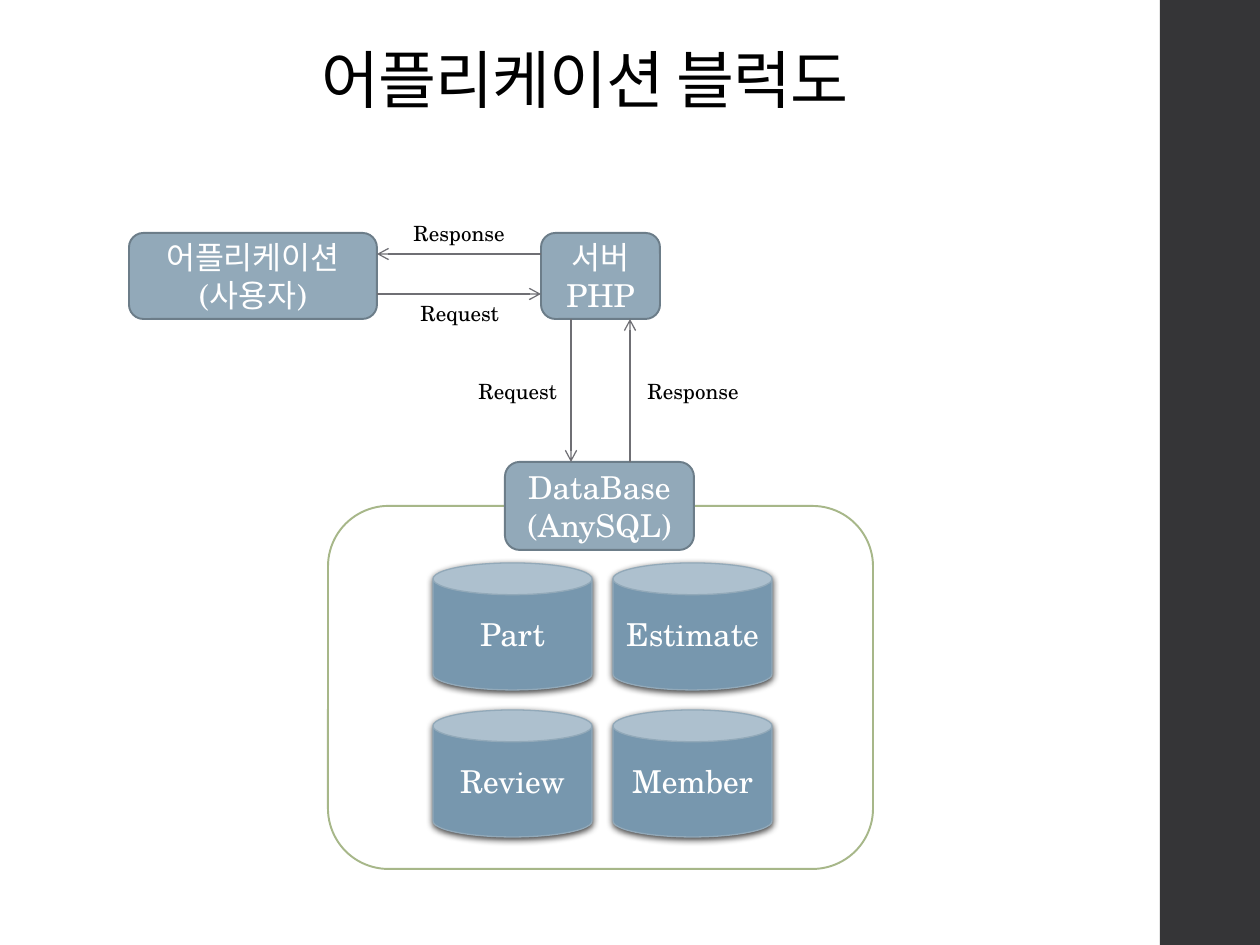
"""Build the application block diagram slide."""
from lxml.etree import SubElement
from pptx import Presentation
from pptx.dml.color import RGBColor
from pptx.enum.shapes import MSO_CONNECTOR, MSO_SHAPE
from pptx.enum.text import MSO_ANCHOR, PP_ALIGN
from pptx.oxml.ns import qn
from pptx.util import Emu, Pt

WHITE = RGBColor(0xFF, 0xFF, 0xFF)
BLACK = RGBColor(0x00, 0x00, 0x00)
CHARCOAL = RGBColor(0x35, 0x35, 0x37)
SAGE = RGBColor(0xA7, 0xB7, 0x89)
MIST = RGBColor(0x92, 0xA9, 0xB9)
SLATE = RGBColor(0x6C, 0x7D, 0x89)
STEEL = RGBColor(0x77, 0x97, 0xAE)
GRAY = RGBColor(0x6F, 0x6F, 0x74)
FONT = "TeX Gyre Schola"
EMU_PER_PX = 914400 / 126

TITLE = ("어플리케이션 블럭도", (64, 36, 1042, 87))
SIDEBAR = (1160, 0, 101, 945)
FRAME = (328, 506, 545, 363)
BLOCKS = [
    (["서버", "PHP"], (541, 233, 119, 86)),
    (["어플리케이션", "(사용자)"], (129, 233, 248, 86)),
    (["DataBase", "(AnySQL)"], (505, 462, 189, 88)),
]
TABLES = [["Part", "Estimate"], ["Review", "Member"]]
TABLE_ORIGIN, TABLE_PITCH, TABLE_SIZE = (433, 563), (180, 147), (159, 127)
ARROWS = [
    (541, 254, 377, 254),
    (377, 294, 541, 294),
    (571, 319, 571, 462),
    (630, 462, 630, 319),
]
LABELS = [
    ("Response", (401, 214, 123, 38)),
    ("Request", (408, 294, 106, 38)),
    ("Response", (635, 372, 123, 38)),
    ("Request", (466, 372, 106, 38)),
]

BLOCK_TEXT = {"size": Pt(18), "color": WHITE}
LABEL_TEXT = {"size": Pt(12), "color": BLACK}
TITLE_TEXT = {"size": Pt(36), "color": BLACK}


def px(*values):
    return [Emu(round(value * EMU_PER_PX)) for value in values]


def write(shape, lines, style, anchor=MSO_ANCHOR.MIDDLE, align=PP_ALIGN.CENTER, wrap=False):
    frame = shape.text_frame
    for name, value in {"word_wrap": wrap, "vertical_anchor": anchor}.items():
        setattr(frame, name, value)
    frame.text = "\n".join(lines)
    for paragraph in frame.paragraphs:
        paragraph.alignment = align
        font = paragraph.runs[0].font
        for name, value in {"name": FONT, "size": style["size"]}.items():
            setattr(font, name, value)
        font.color.rgb = style["color"]


def add_box(slide, kind, box, fill, line=None, width=1.1):
    shape = slide.shapes.add_shape(kind, *px(*box))
    shape.shadow.inherit = False
    shape.fill.solid()
    shape.fill.fore_color.rgb = fill
    if line is None:
        shape.line.fill.background()
    else:
        shape.line.color.rgb = line
        shape.line.width = Pt(width)
    return shape


def add_shadow(shape):
    effects = shape._element.spPr.find(qn("a:effectLst"))
    shadow = SubElement(effects, qn("a:outerShdw"), blurRad=str(Pt(4)),
                        dist=str(Pt(1.2)), dir="5400000", rotWithShape="0")
    color = SubElement(shadow, qn("a:srgbClr"), val="000000")
    SubElement(color, qn("a:alpha"), val="75000")


def add_arrow(slide, ends):
    arrow = slide.shapes.add_connector(MSO_CONNECTOR.STRAIGHT, *px(*ends))
    arrow.line.color.rgb = GRAY
    arrow.line.width = Pt(0.75)
    SubElement(arrow.line._get_or_add_ln(), qn("a:tailEnd"), type="arrow")
    SubElement(arrow._element.spPr, qn("a:effectLst"))


def add_title(slide):
    text, box = TITLE
    title = slide.shapes.add_textbox(*px(*box))
    write(title, [text], TITLE_TEXT, anchor=MSO_ANCHOR.BOTTOM, wrap=True)
    paragraph = title.text_frame.paragraphs[0]
    paragraph.line_spacing = 0.9
    paragraph.runs[0].font._element.set("spc", "-50")


def add_tables(slide):
    for row, names in enumerate(TABLES):
        for column, name in enumerate(names):
            left = TABLE_ORIGIN[0] + column * TABLE_PITCH[0]
            top = TABLE_ORIGIN[1] + row * TABLE_PITCH[1]
            can = add_box(slide, MSO_SHAPE.CAN, (left, top, *TABLE_SIZE), STEEL, MIST, 0.75)
            add_shadow(can)
            write(can, [name], BLOCK_TEXT)


def main():
    presentation = Presentation()
    presentation.slide_width, presentation.slide_height = px(1260, 945)
    slide = presentation.slides.add_slide(presentation.slide_layouts[6])
    add_box(slide, MSO_SHAPE.RECTANGLE, SIDEBAR, CHARCOAL)
    add_box(slide, MSO_SHAPE.ROUNDED_RECTANGLE, FRAME, WHITE, SAGE)
    add_title(slide)
    for lines, box in BLOCKS:
        block = add_box(slide, MSO_SHAPE.ROUNDED_RECTANGLE, box, MIST, SLATE)
        write(block, lines, BLOCK_TEXT)
    add_tables(slide)
    for ends in ARROWS:
        add_arrow(slide, ends)
    for text, box in LABELS:
        label = slide.shapes.add_textbox(*px(*box))
        write(label, [text], LABEL_TEXT, anchor=MSO_ANCHOR.TOP, align=PP_ALIGN.LEFT)
    presentation.save("out.pptx")


if __name__ == "__main__":
    main()
